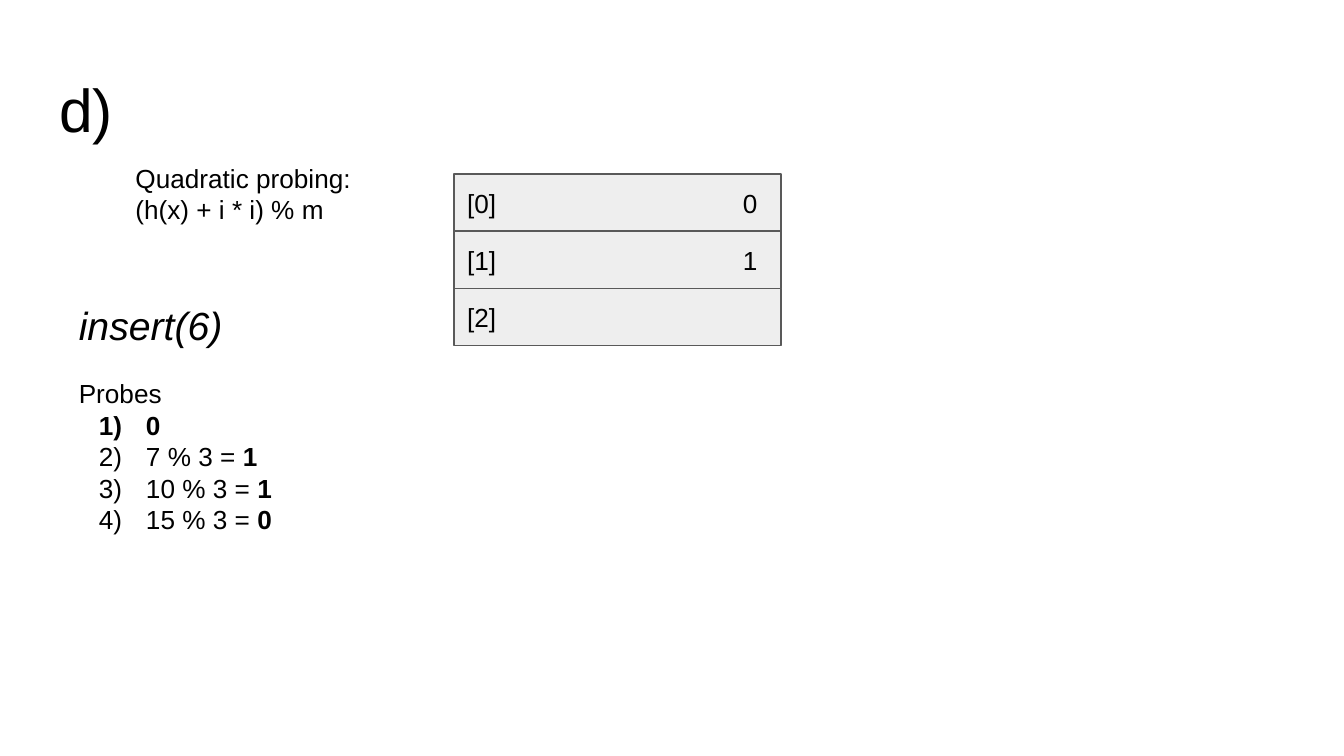
"""Build a slide that shows quadratic probing in a small hash table."""
from lxml import etree
from pptx import Presentation
from pptx.dml.color import RGBColor
from pptx.enum.shapes import MSO_SHAPE
from pptx.enum.text import MSO_ANCHOR, MSO_AUTO_SIZE, PP_ALIGN
from pptx.oxml.ns import qn
from pptx.util import Cm, Pt

RECTANGLE = MSO_SHAPE.RECTANGLE
MIDDLE, TOP = MSO_ANCHOR.MIDDLE, MSO_ANCHOR.TOP
LEFT = PP_ALIGN.LEFT
NO_AUTOFIT = MSO_AUTO_SIZE.NONE
COLORS = {"text": "000000", "cell": "EEEEEE", "border": "595959"}


def prepare_frame(shape, anchor):
    frame = shape.text_frame
    frame.word_wrap = True
    frame.auto_size = NO_AUTOFIT
    frame.vertical_anchor = anchor
    frame.margin_left = frame.margin_right = Cm(0.25)
    frame.margin_top = frame.margin_bottom = Cm(0.25)
    return frame


def style_paragraph(paragraph, size=14):
    paragraph.alignment = LEFT
    paragraph.font.name = "Arial"
    paragraph.font.size = Pt(size)
    paragraph.font.color.rgb = RGBColor.from_string(COLORS["text"])


presentation = Presentation()
presentation.slide_width, presentation.slide_height = Cm(25.4), Cm(14.29)
slide = presentation.slides.add_slide(presentation.slide_layouts[5])

title = slide.shapes.title
title.left, title.top, title.width, title.height = Cm(0.87), Cm(1.24), Cm(23.67), Cm(1.6)
title_frame = prepare_frame(title, MIDDLE)
title_frame.text = "d)"
style_paragraph(title_frame.paragraphs[0], 32.4)

row_height = 1.08
for index, value in enumerate(["0", "1", ""]):
    slot = slide.shapes.add_shape(
        RECTANGLE, Cm(8.58), Cm(3.29 + index * row_height), Cm(6.18), Cm(row_height))
    slot.shadow.inherit = False
    slot.fill.solid()
    slot.fill.fore_color.rgb = RGBColor.from_string(COLORS["cell"])
    slot.line.color.rgb = RGBColor.from_string(COLORS["border"])
    slot.line.width = Pt(0.75)
    paragraph = prepare_frame(slot, MIDDLE).paragraphs[0]
    paragraph.add_run().text = f"[{index}]\t{value}" if value else f"[{index}]"
    tabs = etree.SubElement(paragraph._p.get_or_add_pPr(), qn("a:tabLst"))
    etree.SubElement(tabs, qn("a:tab"), pos=str(Cm(5.21)), algn="l")
    style_paragraph(paragraph)

formula_box = slide.shapes.add_textbox(Cm(2.31), Cm(2.82), Cm(4.65), Cm(1.7))
formula_frame = prepare_frame(formula_box, TOP)
formula_frame.text = "Quadratic probing:\n(h(x) + i * i) % m"
for paragraph in formula_frame.paragraphs:
    style_paragraph(paragraph)

probes_box = slide.shapes.add_textbox(Cm(1.24), Cm(5.44), Cm(7.34), Cm(5))
probes_frame = prepare_frame(probes_box, TOP)
probes_frame.text = "insert(6)\nProbes"
operation, heading = probes_frame.paragraphs
style_paragraph(operation, 21)
operation.font.italic = True
style_paragraph(heading)
heading.space_before = Pt(16)

for formula, result in [("", "0"), ("7 % 3 = ", "1"), ("10 % 3 = ", "1"), ("15 % 3 = ", "0")]:
    paragraph = probes_frame.add_paragraph()
    properties = paragraph._p.get_or_add_pPr()
    properties.set("marL", str(Cm(1.27)))
    properties.set("indent", str(Cm(-0.89)))
    etree.SubElement(properties, qn("a:buAutoNum"), type="arabicParenR")
    style_paragraph(paragraph)
    if formula:
        paragraph.add_run().text = formula
    result_run = paragraph.add_run()
    result_run.text = result
    result_run.font.bold = True

presentation.save("out.pptx")
